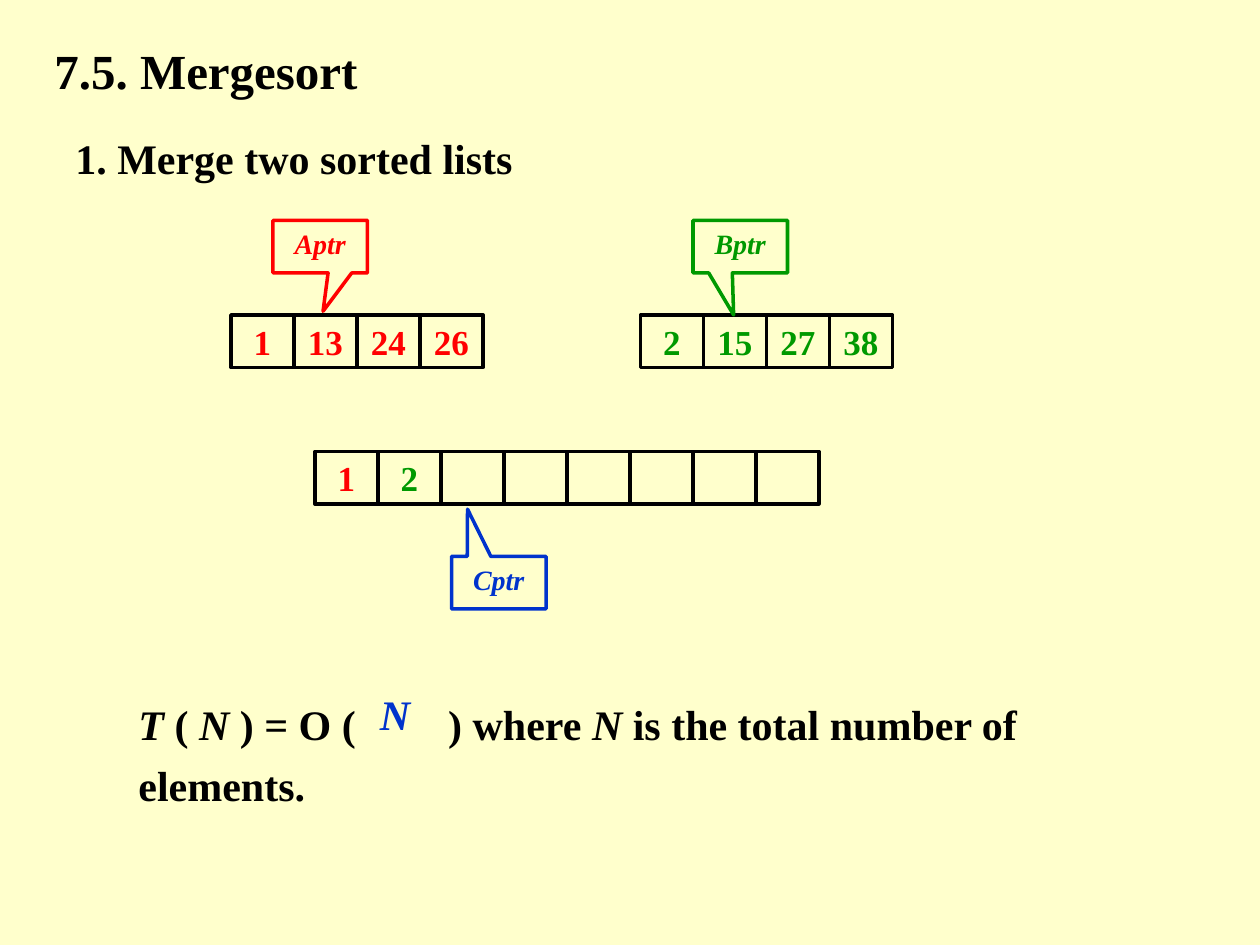
from lxml import etree
from pptx import Presentation
from pptx.dml.color import RGBColor
from pptx.enum.shapes import MSO_SHAPE
from pptx.enum.text import MSO_ANCHOR, PP_ALIGN
from pptx.oxml.ns import qn
from pptx.util import Pt

RECTANGLE = MSO_SHAPE.RECTANGLE
CALLOUT = MSO_SHAPE.RECTANGULAR_CALLOUT
MIDDLE, TOP = MSO_ANCHOR.MIDDLE, MSO_ANCHOR.TOP
CENTER = PP_ALIGN.CENTER

CREAM = RGBColor(0xFF, 0xFF, 0xCC)
BLACK = RGBColor(0x00, 0x00, 0x00)
RED = RGBColor(0xFF, 0x00, 0x00)
GREEN = RGBColor(0x00, 0x99, 0x00)
BLUE = RGBColor(0x00, 0x33, 0xCC)

CELL_WIDTH, CELL_HEIGHT = 36, 30


def add_span(para, text, size, color, italic=False):
    span = para.add_run()
    span.text = text
    span.font.name = "Times New Roman"
    span.font.size = Pt(size)
    span.font.bold = True
    span.font.italic = italic
    span.font.color.rgb = color


def add_outline(shapes, kind, left, top, width, height, color):
    """Add an unfilled shape with a 2 pt line and centred text."""
    box = shapes.add_shape(kind, Pt(left), Pt(top), Pt(width), Pt(height))
    box.shadow.inherit = False
    box.fill.background()
    box.line.color.rgb = color
    box.line.width = Pt(2)
    box.text_frame.paragraphs[0].alignment = CENTER
    return box


deck = Presentation()
deck.slide_width, deck.slide_height = Pt(720), Pt(540)
page = deck.slides.add_slide(deck.slide_layouts[6])
page.background.fill.solid()
page.background.fill.fore_color.rgb = CREAM

# Headings
for text, left, top, width, height, size in [
    ("7.5. Mergesort", 24, 19.5, 228, 41, 28),
    ("1. Merge two sorted lists", 36, 72, 282, 36, 24),
]:
    heading = page.shapes.add_textbox(Pt(left), Pt(top), Pt(width), Pt(height))
    heading.text_frame.word_wrap = True
    add_span(heading.text_frame.paragraphs[0], text, size, BLACK)

# Input lists A and B, output list C
list_a = [(value, RED) for value in ("1", "13", "24", "26")]
list_b = [(value, GREEN) for value in ("2", "15", "27", "38")]
list_c = [("1", RED), ("2", GREEN)] + [("", BLACK)] * 6
for left, top, cells in [(132, 180, list_a), (366, 180, list_b), (180, 258, list_c)]:
    row = page.shapes.add_group_shape()
    for index, (value, color) in enumerate(cells):
        cell = add_outline(row.shapes, RECTANGLE, left + index * CELL_WIDTH, top,
                           CELL_WIDTH, CELL_HEIGHT, BLACK)
        cell.text_frame.word_wrap = False
        cell.text_frame.vertical_anchor = MIDDLE
        if value:
            add_span(cell.text_frame.paragraphs[0], value, 20, color)

# Pointers into the lists
for name, left, top, color, tip_x, tip_y in [
    ("Aptr", 156, 126, RED, 0.03, 1.23),
    ("Bptr", 396, 126, GREEN, -0.07, 1.3),
    ("Cptr", 258, 318, BLUE, -0.33, -1.4),
]:
    pointer = add_outline(page.shapes, CALLOUT, left, top, 54, 30, color)
    pointer.adjustments[0], pointer.adjustments[1] = tip_x, tip_y
    frame = pointer.text_frame
    frame.margin_left = frame.margin_right = Pt(1.5)
    frame.vertical_anchor = TOP
    frame.word_wrap = True
    add_span(frame.paragraphs[0], name, 16, color, italic=True)

# Running time, with a tab leaving room for the answer
formula = page.shapes.add_textbox(Pt(72), Pt(390), Pt(558), Pt(69))
formula.text_frame.word_wrap = True
para = formula.text_frame.paragraphs[0]
para.line_spacing = 1.2
tabs = etree.SubElement(para._p.get_or_add_pPr(), qn("a:tabLst"))
etree.SubElement(tabs, qn("a:tab"), pos=str(Pt(177)), algn="l")
for text, italic in [
    ("T ", True),
    ("( ", False),
    ("N ", True),
    (") = O (\t) where ", False),
    ("N", True),
    (" is the total number of elements.", False),
]:
    add_span(para, text, 24, BLACK, italic)

answer = page.shapes.add_textbox(Pt(210), Pt(390), Pt(32), Pt(36))
answer.text_frame.word_wrap = False
add_span(answer.text_frame.paragraphs[0], "N", 24, BLUE, italic=True)

deck.save("out.pptx")
